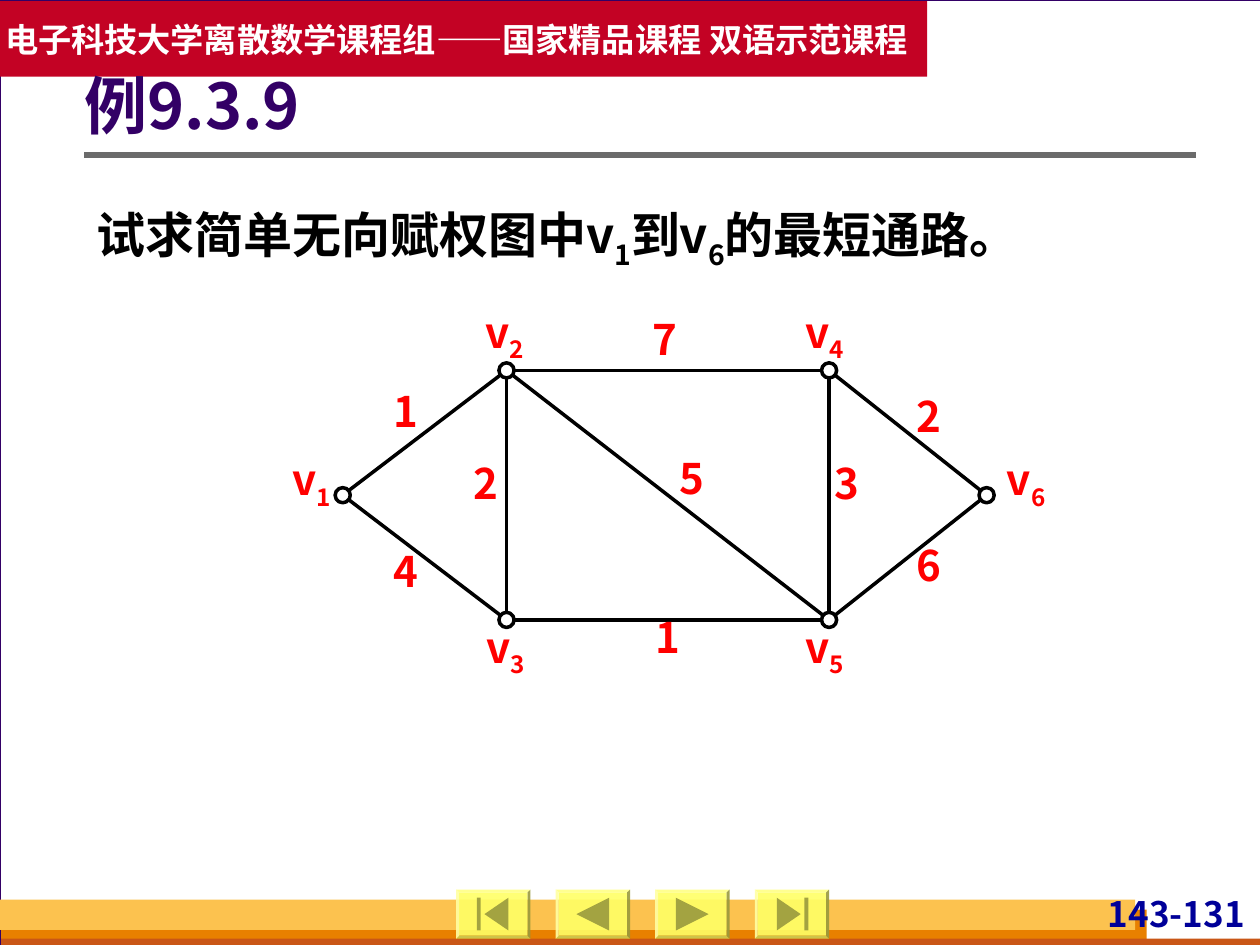
import math
from lxml import etree
from pptx import Presentation
from pptx.dml.color import RGBColor
from pptx.enum.shapes import MSO_CONNECTOR, MSO_SHAPE
from pptx.enum.text import MSO_ANCHOR, MSO_AUTO_SIZE, PP_ALIGN
from pptx.oxml.ns import qn
from pptx.util import Inches, Pt

RECT, OVAL, BEVEL = MSO_SHAPE.RECTANGLE, MSO_SHAPE.OVAL, MSO_SHAPE.BEVEL
STRAIGHT = MSO_CONNECTOR.STRAIGHT
TOP, MIDDLE = MSO_ANCHOR.TOP, MSO_ANCHOR.MIDDLE
LEFT, CENTER, RIGHT, JUSTIFY = PP_ALIGN.LEFT, PP_ALIGN.CENTER, PP_ALIGN.RIGHT, PP_ALIGN.JUSTIFY

THEME = {
    "font": "Noto Sans CJK SC",
    "backdrop": "D8DADA", "paper": "FFFFFF", "title": "330066", "banner": "C30224",
    "rule": "6B6B6B", "ink": "000000", "label": "FF0000", "page": "000099",
    "button": "FFFF66", "icon": "A3A341",
    "banner_size": 19, "title_size": 36, "body_size": 28, "label_size": 24, "page_size": 20,
}

# Content: text is a list of (text, is subscript)
BANNER = [("电子科技大学离散数学课程组——国家精品课程 双语示范课程", False)]
TITLE = [("例9.3.9", False)]
QUESTION = [("试求简单无向赋权图中v", False), ("1", True), ("到v", False),
            ("6", True), ("的最短通路。", False)]
PAGE = [("143-131", False)]

FOOTER_BANDS = [  # left, top, width, height, colour
    (0.01, 7.22, 9.09, 0.28, "E88000"),
    (0.01, 7.45, 10, 0.08, "C95616"),
    (0, 7.14, 9.01, 0.24, "FCC24F"),
]
BUTTONS = [(-1, True), (-1, False), (1, False), (1, True)]  # direction, has end bar

NODES = {  # number: centre, label offset from centre to box corner
    1: ((2.72, 3.93), (-0.48, -0.33)),
    2: ((4.02, 2.94), (-0.25, -0.51)),
    3: ((4.02, 4.92), (-0.24, 0.01)),
    4: ((6.58, 2.94), (-0.27, -0.51)),
    5: ((6.58, 4.92), (-0.27, 0.01)),
    6: ((7.83, 3.93), (0.08, -0.33)),
}
EDGES = [  # from, to, weight, corner of the weight box
    (1, 2, 1, (3.1, 3.06)), (1, 3, 4, (3.1, 4.33)), (2, 3, 2, (3.74, 3.63)),
    (2, 4, 7, (5.16, 2.49)), (2, 5, 5, (5.37, 3.59)), (3, 5, 1, (5.18, 4.85)),
    (4, 5, 3, (6.6, 3.63)), (4, 6, 2, (7.25, 3.1)), (5, 6, 6, (7.25, 4.28)),
]
RADIUS = 0.06


def rgb(name):
    return RGBColor.from_string(THEME.get(name, name))


def add_box(shapes, kind, box, fill, line=None, width=0):
    s = shapes.add_shape(kind, *map(Inches, box))
    s.shadow.inherit = False
    s.fill.solid()
    s.fill.fore_color.rgb = rgb(fill)
    if line:
        s.line.color.rgb = rgb(line)
        s.line.width = Pt(width)
    else:
        s.line.fill.background()
    return s


def add_line(shapes, start, end, color, width):
    c = shapes.add_connector(STRAIGHT, *map(Inches, (*start, *end)))
    c.line.color.rgb = rgb(color)
    c.line.width = Pt(width)
    etree.SubElement(c._element.spPr, qn("a:effectLst"))


def write(s, runs, size, color, align=LEFT, anchor=TOP, insets=(0, 0, 0, 0), spacing=None, grow=False):
    tf = s.text_frame
    tf.word_wrap = True
    tf.vertical_anchor = anchor
    tf.margin_left, tf.margin_top, tf.margin_right, tf.margin_bottom = map(Inches, insets)
    tf.auto_size = MSO_AUTO_SIZE.SHAPE_TO_FIT_TEXT if grow else MSO_AUTO_SIZE.NONE
    p = tf.paragraphs[0]
    p.alignment = align
    if spacing:
        p.line_spacing = spacing
    for text, subscript in runs:
        r = p.add_run()
        r.text = text
        r.font.name, r.font.size, r.font.bold = THEME["font"], Pt(THEME[size]), True
        r.font.color.rgb = rgb(color)
        rPr = r._r.get_or_add_rPr()
        etree.SubElement(rPr, qn("a:ea")).set("typeface", THEME["font"])
        if subscript:
            rPr.set("baseline", "-25000")


def add_text(shapes, box, runs, size, color, **options):
    write(shapes.add_textbox(*map(Inches, box)), runs, size, color, **options)


def add_button(shapes, left, direction, has_bar):
    top, width, height, half = 7.06, 0.59, 0.39, 0.13
    s = add_box(shapes, BEVEL, (left, top, width, height), "button")
    s.adjustments[0] = 0.06
    color = s._element.spPr.find(qn("a:solidFill"))[0]
    etree.SubElement(color, qn("a:alpha")).set("val", "90000")

    # Icon outlines, measured from the button's centre and pointing right
    if has_bar:
        outlines = [[(0.07, 0), (-0.12, half), (-0.12, -half)],
                    [(0.1, -half), (half, -half), (half, half), (0.1, half)]]
    else:
        outlines = [[(half, 0), (-half, half), (-half, -half)]]
    cx, cy = left + width / 2, top + height / 2
    builder = None
    for outline in outlines:
        points = [(Inches(cx + direction * x), Inches(cy + y)) for x, y in outline]
        if builder is None:
            builder = shapes.build_freeform(*points[0], scale=1.0)
        else:
            builder.move_to(*points[0])
        builder.add_line_segments(points[1:], close=True)
    icon = builder.convert_to_shape()
    icon.shadow.inherit = False
    icon.fill.solid()
    icon.fill.fore_color.rgb = rgb("icon")
    icon.line.fill.background()


def add_graph(shapes):
    for a, b, _, _ in EDGES:
        (x1, y1), (x2, y2) = NODES[a][0], NODES[b][0]
        length = math.hypot(x2 - x1, y2 - y1)
        dx, dy = RADIUS * (x2 - x1) / length, RADIUS * (y2 - y1) / length
        add_line(shapes, (x1 + dx, y1 + dy), (x2 - dx, y2 - dy), "ink", 2)
    for number, ((x, y), (dx, dy)) in NODES.items():
        add_box(shapes, OVAL, (x - RADIUS, y - RADIUS, 2 * RADIUS, 2 * RADIUS), "paper", "ink", 2)
        add_text(shapes, (x + dx, y + dy, 0.47, 0.46), [("v", False), (str(number), True)],
                 "label_size", "label", align=CENTER, grow=True)
    for _, _, weight, corner in EDGES:
        add_text(shapes, (*corner, 0.24, 0.4), [(str(weight), False)],
                 "label_size", "label", align=CENTER, grow=True)


def main():
    prs = Presentation()
    prs.slide_width, prs.slide_height = Inches(10), Inches(7.5)
    slide = prs.slides.add_slide(prs.slide_layouts[6])
    slide.background.fill.solid()
    slide.background.fill.fore_color.rgb = rgb("backdrop")
    shapes = slide.shapes

    # Page frame and footer
    add_box(shapes, RECT, (0, 0, 10.01, 7.5), "paper", "title", 0.75)
    for *box, color in FOOTER_BANDS:
        add_box(shapes, RECT, box, color)
    add_text(shapes, (8.7, 7.08, 1.22, 0.38), PAGE, "page_size", "page",
             align=RIGHT, insets=(0.04, 0, 0.04, 0), grow=True)
    add_line(shapes, (0.67, 1.23), (9.49, 1.23), "rule", 3)
    for i, (direction, has_bar) in enumerate(BUTTONS):
        add_button(shapes, 3.62 + 0.79 * i, direction, has_bar)

    # Banner, title and question
    banner = add_box(shapes, RECT, (0, 0.01, 7.36, 0.6), "banner")
    write(banner, BANNER, "banner_size", "paper", anchor=MIDDLE, insets=(0.04, 0.05, 0.04, 0.05))
    add_text(shapes, (0.67, 0.36, 8.82, 1.01), TITLE, "title_size", "title",
             anchor=MIDDLE, insets=(0, 0.05, 0.1, 0.05), spacing=0.9)
    add_text(shapes, (0.67, 1.47, 8.82, 0.74), QUESTION, "body_size", "ink",
             align=JUSTIFY, insets=(0.1, 0.05, 0.1, 0.05), spacing=1.2)

    # Weighted graph
    add_graph(shapes.add_group_shape().shapes)
    prs.save("out.pptx")


if __name__ == "__main__":
    main()
